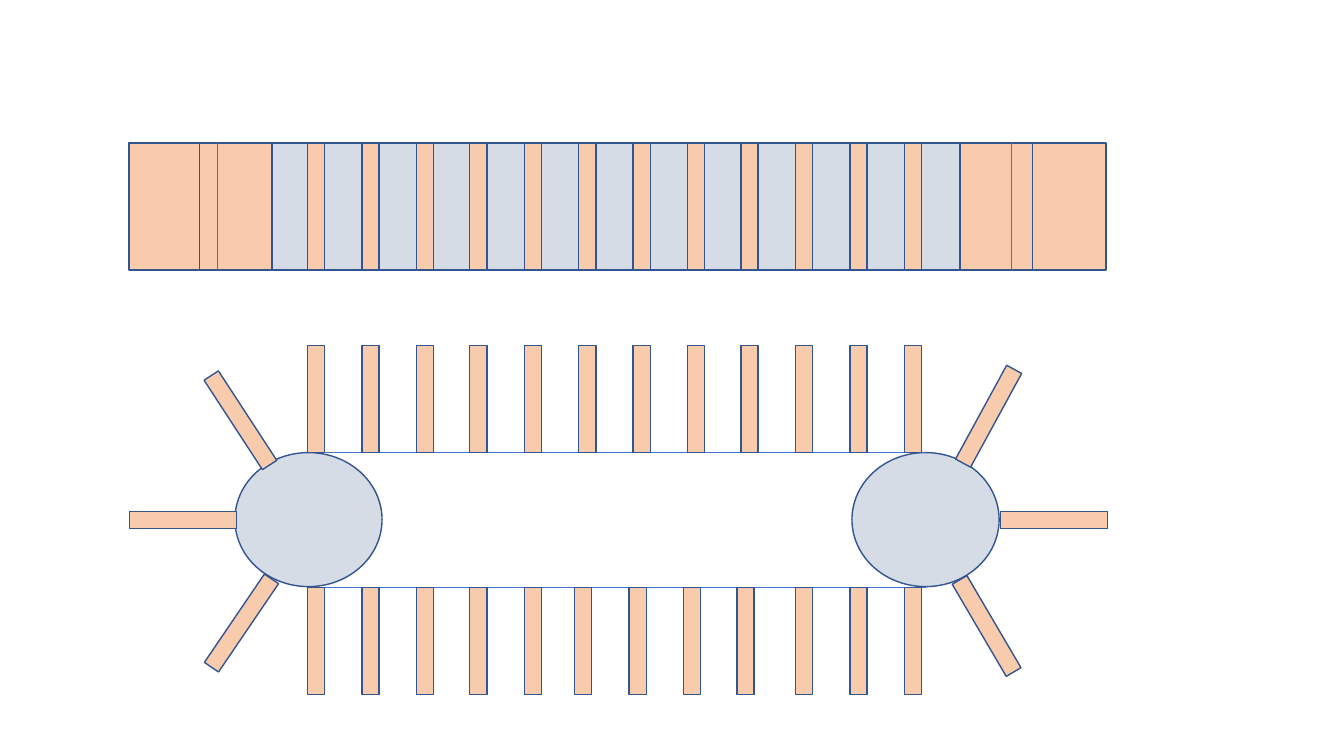
from lxml.etree import SubElement
from pptx import Presentation
from pptx.dml.color import RGBColor
from pptx.enum.shapes import MSO_CONNECTOR as CONN, MSO_SHAPE as SHAPE
from pptx.oxml.ns import qn
from pptx.util import Inches, Pt


def rgb(color):
    return RGBColor.from_string(color)


class TrackSlide:
    """Draws the top and side views of a bladed track on one slide."""

    STEEL, BLADE = "D6DCE5", "F8CBAD"
    OUTLINE, BELT = "325491", "4472C4"
    BLADE_W, BLADE_H = 0.17, 1.06

    def __init__(self, prs):
        self.s = prs.slides.add_slide(prs.slide_layouts[6])

    def shape(self, kind, x, y, w, h, fill, rotation=0):
        sp = self.s.shapes.add_shape(kind, Inches(x), Inches(y), Inches(w), Inches(h))
        sp.shadow.inherit = False
        sp.fill.solid()
        sp.fill.fore_color.rgb = rgb(fill)
        sp.line.color.rgb = rgb(self.OUTLINE)
        sp.line.width = Pt(1)
        sp.rotation = rotation

    def blade(self, x, y, h=BLADE_H, w=BLADE_W, rotation=0):
        self.shape(SHAPE.RECTANGLE, x, y, w, h, self.BLADE, rotation)

    def line(self, x1, y1, x2, y2):
        cn = self.s.shapes.add_connector(
            CONN.STRAIGHT, Inches(x1), Inches(y1), Inches(x2), Inches(y2))
        cn.line.color.rgb = rgb(self.BELT)
        cn.line.width = Pt(0.5)
        SubElement(cn._element.spPr, qn("a:effectLst"))


def main():
    prs = Presentation()
    prs.slide_width, prs.slide_height = Inches(13.33), Inches(7.5)
    track = TrackSlide(prs)

    deck_top, deck_h = 1.42, 1.26
    belt_top, belt_bottom = 4.49, 5.83
    blade_xs = [round(3.05 + 0.538 * i, 2) for i in range(12)]

    track.shape(SHAPE.RECTANGLE, 2.33, deck_top, 7.58, deck_h, track.STEEL)
    for x in blade_xs:
        track.blade(x, deck_top, deck_h)

    for x in (2.33, 8.45):
        track.shape(SHAPE.OVAL, x, belt_top, 1.46, 1.33, track.STEEL)
    for y in (belt_top, belt_bottom):
        track.line(3.07, y, 9.18, y)

    for i, x in enumerate(blade_xs):
        track.blade(x, 3.43)
        track.blade(x - 0.04 if 5 <= i <= 8 else x, belt_bottom)

    for x, y, rotation in [
        (9.72, 3.6, 28.6), (10.37, 4.63, 90), (9.7, 5.68, 149.6),
        (2.31, 5.65, 214.2), (1.73, 4.63, 270), (2.3, 3.64, 326.9),
    ]:
        track.blade(x, y, rotation=rotation)

    for outer_x, inner_x, edge_x in [(1.28, 1.98, 2.16), (9.91, 9.52, 10.03)]:
        track.blade(outer_x, deck_top, deck_h, 1.06)
        track.blade(inner_x, deck_top, deck_h, 0.72)
        track.line(edge_x, deck_top, edge_x, deck_top + deck_h)

    prs.save("out.pptx")


if __name__ == "__main__":
    main()
